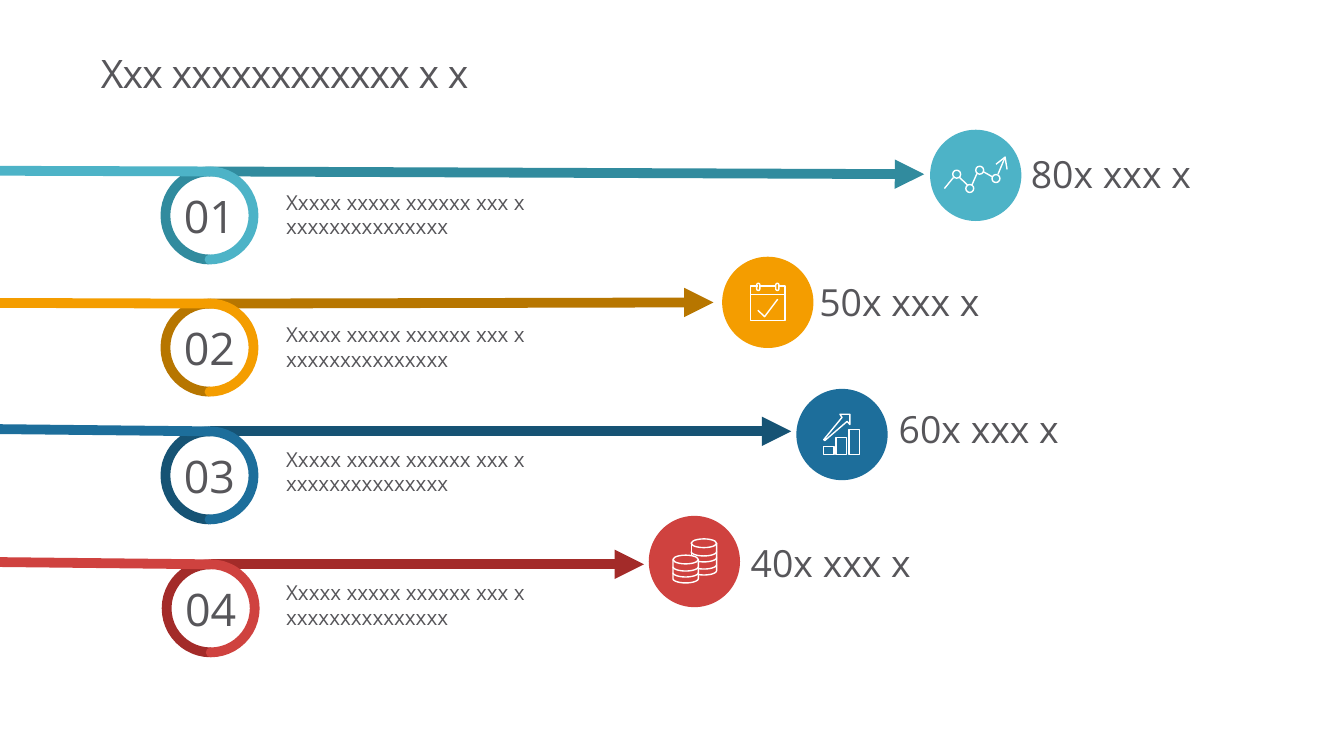
import math

from lxml import etree
from pptx import Presentation
from pptx import util as u
from pptx.dml.color import RGBColor
from pptx.enum import shapes, text
from pptx.oxml import ns

COLORS = {
    "ink": "57565A", "white": "FFFFFF",
    "teal": "4DB3C7", "teal_dark": "318B9E",
    "orange": "F49D00", "orange_dark": "B77600",
    "blue": "1D6E9B", "blue_dark": "165374",
    "red": "CF423F", "red_dark": "A32B29",
}
RING_RADIUS = 1.11
BADGE_RADIUS = 1.15
DETAIL = "Xxxxx xxxxx xxxxxx xxx x xxxxxxxxxxxxxxx"


def arc(cx, cy, rx, ry, start, end, steps=24):
    angles = [math.radians(start + (end - start) * i / steps) for i in range(steps + 1)]
    return [(cx + rx * math.cos(a), cy + ry * math.sin(a)) for a in angles]


class Deck:
    font = "Open Sans"

    def __init__(self, slide):
        self.slide = slide
        self.canvas = slide.shapes
        self.origin = (0, 0)

    def color(self, name):
        return RGBColor.from_string(COLORS[name])

    def at(self, x, y):
        return u.Cm(self.origin[0] + x), u.Cm(self.origin[1] + y)

    def stroke(self, item, color, width, rounded=False, arrow=False):
        item.line.color.rgb = self.color(color)
        item.line.width = u.Pt(width)
        ln = item._element.spPr.find(ns.qn("a:ln"))
        if rounded:
            ln.set("cap", "rnd")
        if arrow:
            etree.SubElement(ln, ns.qn("a:tailEnd"), type="triangle")

    def add_run(self, frame, words, size):
        run = frame.paragraphs[0].add_run()
        run.text = words
        run.font.name = self.font
        run.font.size = u.Pt(size)
        run.font.color.rgb = self.color("ink")
        return run

    def title(self, words, x, y, w, h):
        heading = self.slide.shapes.title
        heading.left, heading.top, heading.width, heading.height = map(u.Cm, (x, y, w, h))
        frame = heading.text_frame
        frame.margin_left = frame.margin_right = frame.margin_top = frame.margin_bottom = 0
        frame.vertical_anchor = text.MSO_ANCHOR.MIDDLE
        frame.auto_size = text.MSO_AUTO_SIZE.NONE
        frame.paragraphs[0].alignment = text.PP_ALIGN.LEFT
        frame.paragraphs[0].line_spacing = 0.86
        run = self.add_run(frame, words, 28)
        run._r.get_or_add_rPr().set("spc", "-50")

    def words(self, words, x, y, w, h, size, centred=False):
        frame = self.canvas.add_textbox(*self.at(x, y), u.Cm(w), u.Cm(h)).text_frame
        frame.word_wrap = not centred
        frame.auto_size = text.MSO_AUTO_SIZE.SHAPE_TO_FIT_TEXT
        if centred:
            frame.vertical_anchor = text.MSO_ANCHOR.MIDDLE
            frame.paragraphs[0].alignment = text.PP_ALIGN.CENTER
        self.add_run(frame, words, size)

    def line(self, start, end, color="white", width=1, **style):
        link = self.canvas.add_connector(
            shapes.MSO_CONNECTOR.STRAIGHT, *self.at(*start), *self.at(*end))
        self.stroke(link, color, width, **style)
        etree.SubElement(link._element.spPr, ns.qn("a:effectLst"))

    def outline(self, points, color="white", width=1, close=False, **style):
        spots = [self.at(*p) for p in points]
        builder = self.canvas.build_freeform(*spots[0])
        builder.add_line_segments(spots[1:], close=close)
        curve = builder.convert_to_shape()
        curve.shadow.inherit = False
        curve.fill.background()
        self.stroke(curve, color, width, **style)

    def preset(self, kind, x, y, w, h, fill=None):
        item = self.canvas.add_shape(kind, *self.at(x, y), u.Cm(w), u.Cm(h))
        item.shadow.inherit = False
        if fill:
            item.fill.solid()
            item.fill.fore_color.rgb = self.color(fill)
            item.line.fill.background()
        else:
            item.fill.background()
            self.stroke(item, "white", 1)
        return item

    def badge(self, centre, color, draw_icon):
        self.canvas = self.slide.shapes.add_group_shape().shapes
        self.origin = centre
        self.preset(shapes.MSO_SHAPE.OVAL, -BADGE_RADIUS, -BADGE_RADIUS,
                    2 * BADGE_RADIUS, 2 * BADGE_RADIUS, color)
        draw_icon(self)
        self.canvas = self.slide.shapes
        self.origin = (0, 0)


def trend(deck):
    deck.outline([(0.79, -0.15), (0.74, -0.46), (0.51, -0.28)])
    for start, end in (((-0.56, 0.05), (-0.79, 0.33)), ((-0.2, 0.25), (-0.41, 0.05)),
                       ((0.03, -0.05), (-0.1, 0.25)), ((0.41, 0.03), (0.18, -0.1)),
                       ((0.74, -0.46), (0.56, -0.03))):
        deck.line(start, end)
    for x, y in ((0.51, 0.08), (0.1, -0.13), (-0.15, 0.33), (-0.48, -0.03)):
        deck.preset(shapes.MSO_SHAPE.OVAL, x - 0.1, y - 0.1, 0.2, 0.2)


def calendar(deck):
    deck.line((-0.19, -0.41), (0.19, -0.41))
    deck.outline([(0.25, -0.41), (0.43, -0.41), (0.43, 0.46),
                  (-0.43, 0.46), (-0.43, -0.41), (-0.25, -0.41)])
    deck.line((-0.43, -0.2), (0.43, -0.2))
    for x in (-0.28, 0.2):
        hook = deck.preset(shapes.MSO_SHAPE.ROUNDED_RECTANGLE, x, -0.48, 0.08, 0.18)
        hook.adjustments[0] = 0.5
    deck.outline([(-0.25, 0.2), (-0.08, 0.36), (0.25, -0.08)])


def growth(deck):
    for x, h in ((-0.46, 0.21), (-0.15, 0.43), (0.18, 0.64)):
        deck.preset(shapes.MSO_SHAPE.RECTANGLE, x, 0.51 - h, 0.26, h)
    deck.outline([(0.2, -0.51), (-0.05, -0.51), (0, -0.43), (-0.46, 0.13),
                  (-0.43, 0.15), (0.13, -0.33), (0.2, -0.25)], close=True)


def coins(deck):
    rx, ry = 0.32, 0.11
    for x, top, base, bands, sweep in ((-0.22, -0.05, 0.43, (0.13, 0.28), 180),
                                       (0.24, -0.46, 0.23, (-0.1, 0.08), 116)):
        deck.preset(shapes.MSO_SHAPE.OVAL, x - rx, top - ry, 2 * rx, 2 * ry)
        rim = arc(x, base, rx, ry, 0, sweep)
        side = [(x - rx, top)] if sweep == 180 else []
        deck.outline([(x + rx, top)] + rim + side)
        for y in bands:
            deck.outline(arc(x, y, rx, ry, 0, sweep))
    deck.outline(arc(0.24, -0.25, rx, ry, 0, 180))
    deck.line((-0.08, -0.15), (-0.08, -0.46))


ROWS = [
    ("01", "teal", (5.28, 4.32), (23.29, 4.39), 4.29, (24.59, 4.42),
     "80x xxx x", (25.73, 3.68), 4.65, trend),
    ("02", "orange", (5.28, 7.65), (17.98, 7.62), 7.62, (19.35, 7.62),
     "50x xxx x", (20.4, 6.91), 8.0, calendar),
    ("03", "blue", (5.28, 10.87), (19.94, 10.87), 10.77, (21.22, 10.95),
     "60x xxx x", (22.4, 10.11), 11.13, growth),
    ("04", "red", (5.31, 14.22), (16.23, 14.22), 14.12, (17.5, 14.15),
     "40x xxx x", (18.67, 13.49), 14.5, coins),
]


def main():
    prs = Presentation()
    prs.slide_width, prs.slide_height = u.Cm(33.87), u.Cm(19.05)
    deck = Deck(prs.slides.add_slide(prs.slide_layouts[5]))
    deck.title("Xxx xxxxxxxxxxxx x x", 2.54, 0.79, 28.78, 2.26)
    for number, color, knot, tip, lead_y, centre, amount, amount_at, detail_y, icon in ROWS:
        x, y = knot
        ring = (x, y + RING_RADIUS, RING_RADIUS, RING_RADIUS)
        deck.line(knot, tip, color + "_dark", 7, arrow=True)
        deck.outline(arc(*ring, 90, 270), color + "_dark", 7)
        deck.outline(arc(*ring, -90, 90), color, 7, rounded=True)
        deck.line(knot, (x - 9.37, lead_y), color, 7, rounded=True)
        deck.words(number, x - 0.9, y + 0.29, 1.8, 1.63, 32, centred=True)
        deck.words(DETAIL, 6.96, detail_y, 7.29, 1.5, 14.7)
        deck.words(amount, *amount_at, 7.29, 1.4, 26.7)
        deck.badge(centre, color, icon)
    prs.save("out.pptx")


if __name__ == "__main__":
    main()
